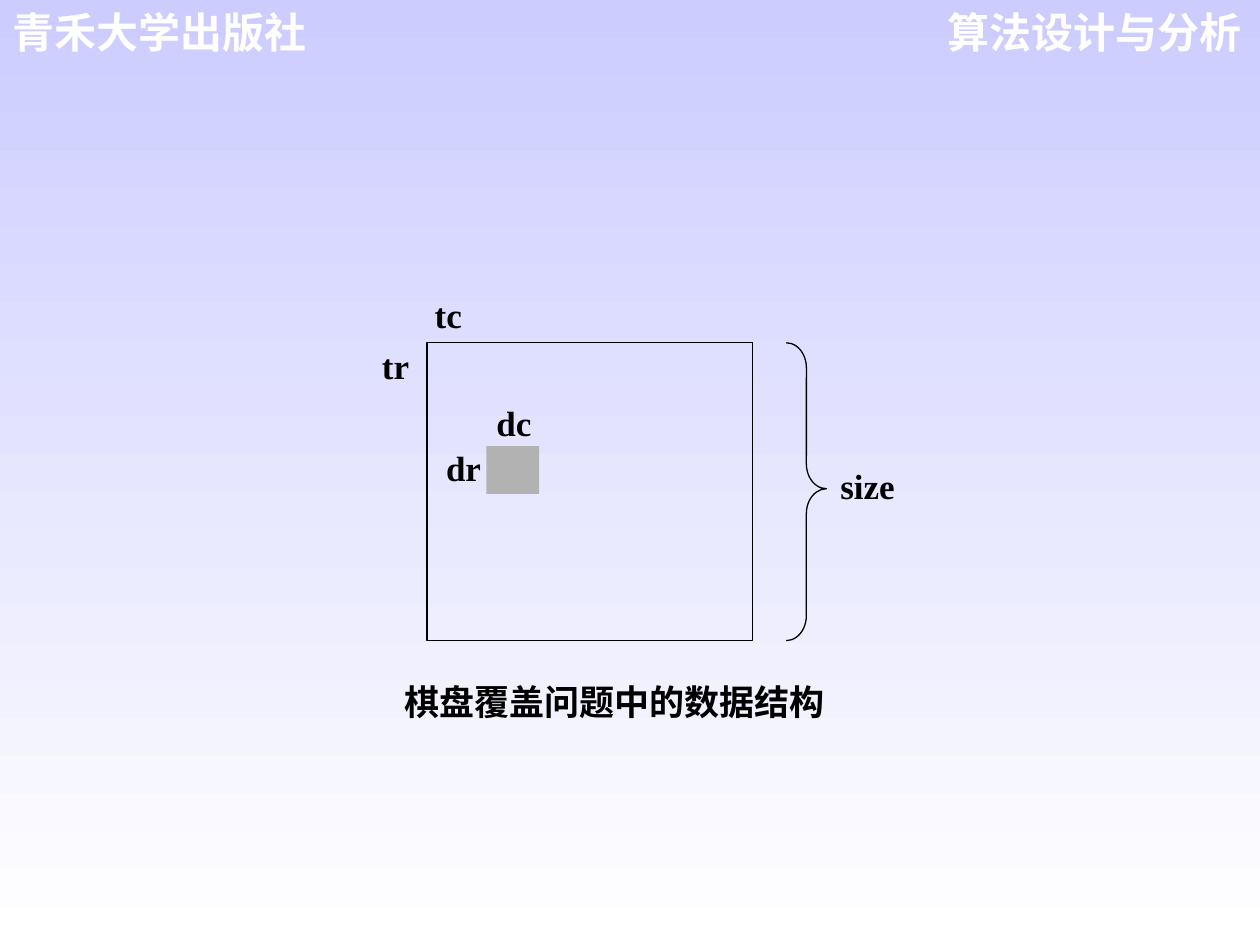
from dataclasses import dataclass

from pptx import Presentation
from pptx.dml.color import RGBColor
from pptx.enum.shapes import MSO_SHAPE
from pptx.enum.text import MSO_ANCHOR, PP_ALIGN
from pptx.util import Pt

RECTANGLE, RIGHT_BRACE = MSO_SHAPE.RECTANGLE, MSO_SHAPE.RIGHT_BRACE
LEFT, RIGHT = PP_ALIGN.LEFT, PP_ALIGN.RIGHT
TOP = MSO_ANCHOR.TOP
BLACK, WHITE, GRAY, LAVENDER = "000000", "FFFFFF", "B2B2B2", "CCCCFF"
SERIF, SANS = "Times New Roman", "Arial"
BOARD_TOP, BOARD_HEIGHT = 195.9, 170.2


@dataclass(frozen=True)
class Box:
    """A rectangular area in points."""

    left: float
    top: float
    width: float
    height: float

    def lengths(self) -> list[Pt]:
        return [Pt(value) for value in (self.left, self.top, self.width, self.height)]


@dataclass(frozen=True)
class Label:
    """A variable name and its area."""

    text: str
    box: Box


LABELS = [
    Label("dc", Box(283.7, 229.7, 26.6, 22.3)),
    Label("dr", Box(254.9, 254.9, 26.6, 22.3)),
    Label("tr", Box(218.2, 196.6, 20.9, 22.3)),
    Label("tc", Box(248.4, 167.8, 26.6, 22.3)),
    Label("size", Box(480.2, 265.7, 39.6, 28.1)),
]


def color(value: str) -> RGBColor:
    """Turn a hex string into a colour."""
    return RGBColor.from_string(value)


def paint_background(slide, *stops: str) -> None:
    """Fill the slide with a gradient running from top to bottom."""
    fill = slide.background.fill
    fill.gradient()
    fill.gradient_angle = 270
    for stop, value in zip(fill.gradient_stops, stops):
        stop.color.rgb = color(value)


def add_figure(slide, kind, box: Box, fill: str | None = None, line: str | None = None):
    """Draw a preset shape with an optional fill and outline."""
    shape = slide.shapes.add_shape(kind, *box.lengths())
    shape.shadow.inherit = False
    if fill:
        shape.fill.solid()
        shape.fill.fore_color.rgb = color(fill)
    else:
        shape.fill.background()
    if line:
        shape.line.color.rgb = color(line)
        shape.line.width = Pt(0.74)
    else:
        shape.line.fill.background()
    return shape


def add_text(slide, text: str, box: Box, *, size: float = 20, font: str = SANS,
             ink: str = BLACK, align=LEFT, margin_x: float = 7.2,
             margin_y: float = 0, wrap: bool = True) -> None:
    """Place one line of bold text."""
    frame = slide.shapes.add_textbox(*box.lengths()).text_frame
    frame.word_wrap = wrap
    frame.vertical_anchor = TOP
    frame.margin_left = frame.margin_right = Pt(margin_x)
    frame.margin_top = frame.margin_bottom = Pt(margin_y)
    paragraph = frame.paragraphs[0]
    paragraph.alignment = align
    run = paragraph.add_run()
    run.text = text
    run.font.name = font
    run.font.size = Pt(size)
    run.font.bold = True
    run.font.color.rgb = color(ink)


def main() -> None:
    """Build the chessboard slide."""
    presentation = Presentation()
    presentation.slide_width, presentation.slide_height = Pt(720), Pt(540)
    slide = presentation.slides.add_slide(presentation.slide_layouts[6])
    paint_background(slide, LAVENDER, WHITE)

    for text, left, align in (("算法设计与分析", 521.3, RIGHT), ("青禾大学出版社", 0, LEFT)):
        add_text(slide, text, Box(left, 0, 195.1, 36), size=24, ink=WHITE,
                 align=align, margin_y=3.6)

    add_figure(slide, RECTANGLE, Box(244, BOARD_TOP, 186.2, BOARD_HEIGHT), line=BLACK)
    add_figure(slide, RECTANGLE, Box(277.9, 254.9, 30.2, 27.4), fill=GRAY)
    brace = add_figure(slide, RIGHT_BRACE, Box(449.3, BOARD_TOP, 23, BOARD_HEIGHT), line=BLACK)
    brace.adjustments[0], brace.adjustments[1] = 0.62, 0.49

    for label in LABELS:
        add_text(slide, label.text, label.box, font=SERIF, margin_x=0, wrap=False)
    add_text(slide, "棋盘覆盖问题中的数据结构", Box(223.9, 388.8, 266.4, 45.4))
    presentation.save("out.pptx")


main()
